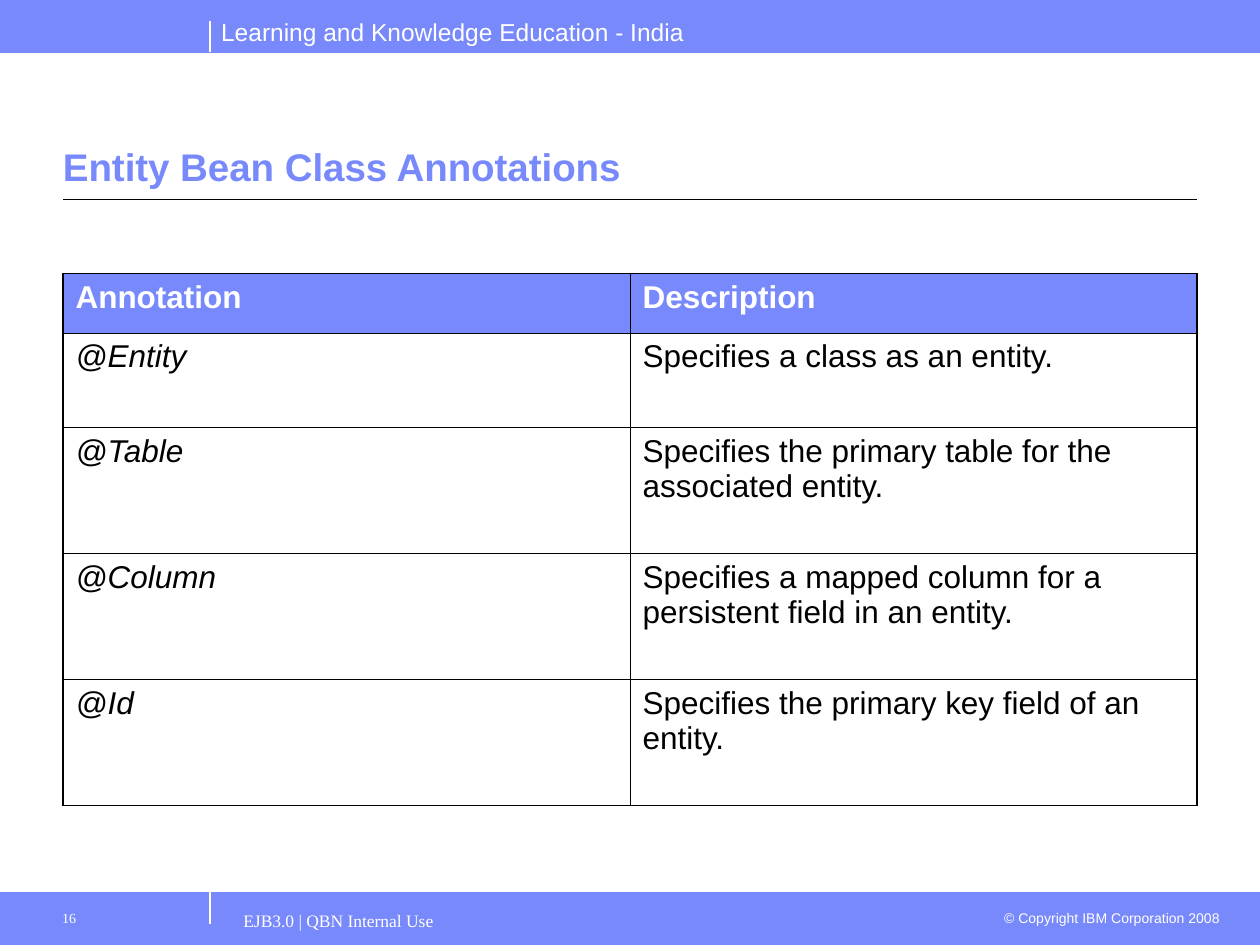
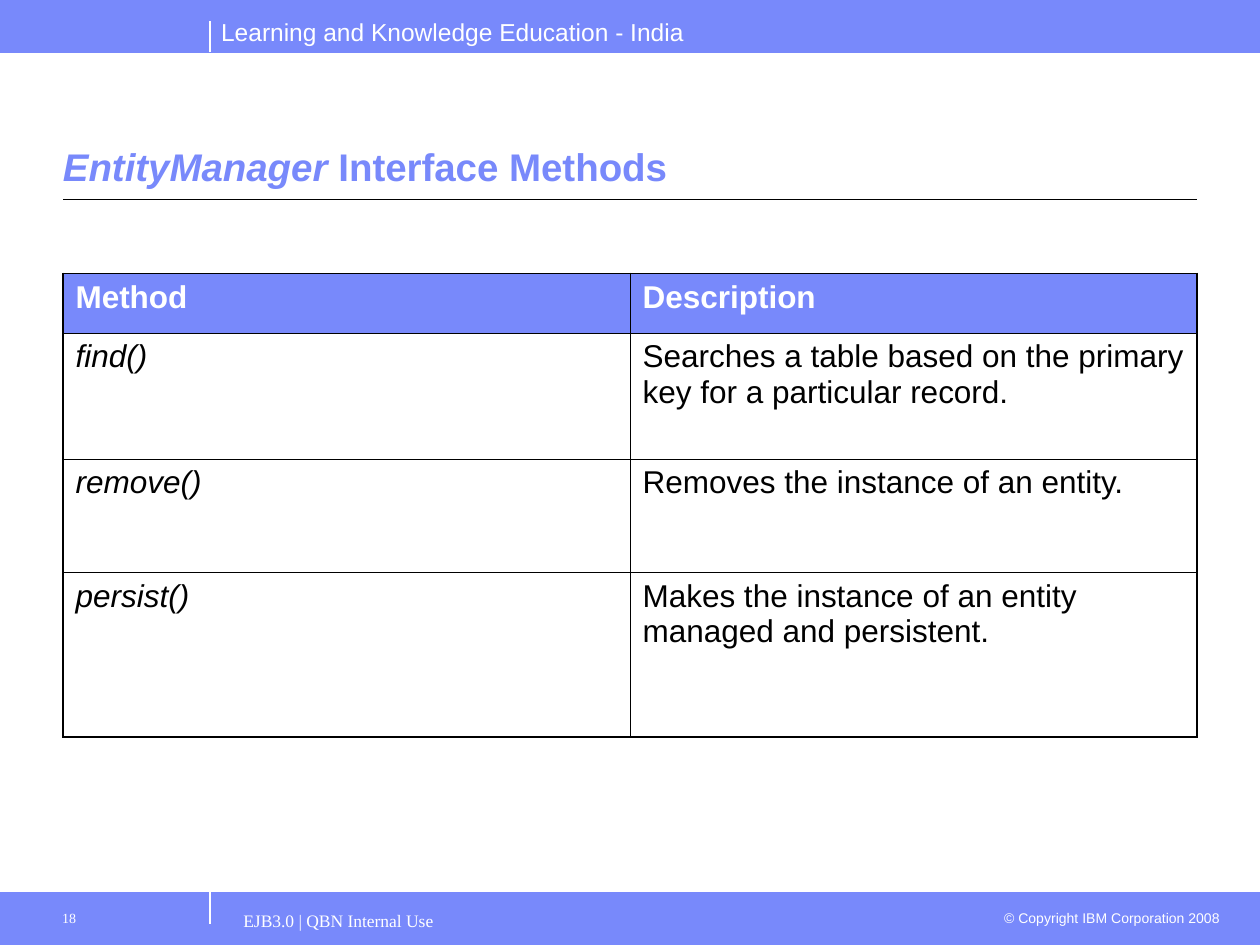
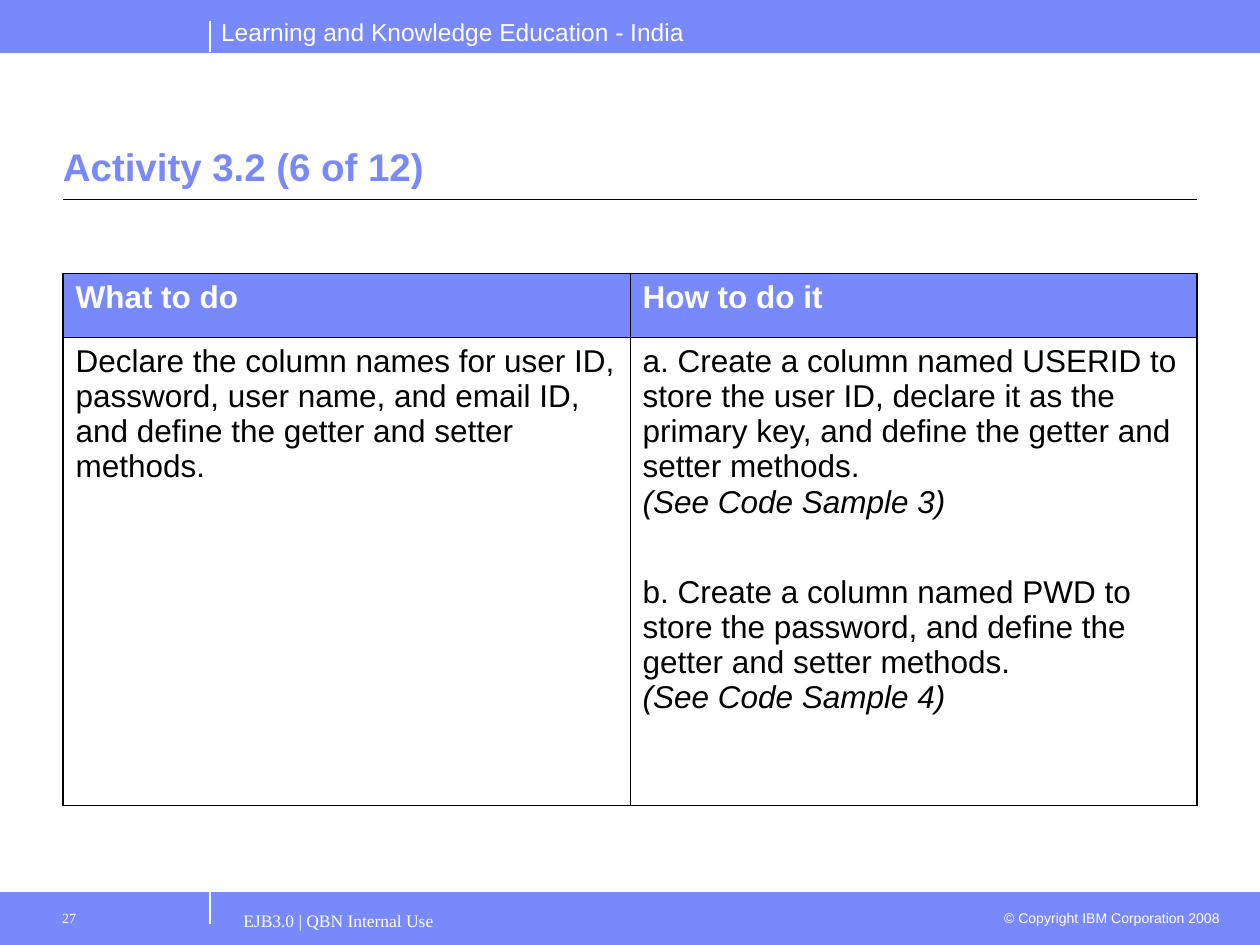
from lxml.etree import SubElement
from pptx import Presentation
from pptx.dml.color import RGBColor
from pptx.enum.shapes import MSO_CONNECTOR, MSO_SHAPE
from pptx.enum.text import MSO_ANCHOR, PP_ALIGN
from pptx.oxml.ns import qn
from pptx.util import Pt

BLUE, WHITE, BLACK = "7889FB", "FFFFFF", "000000"
PAGE_WIDTH, PAGE_HEIGHT = 720, 540
BAND_HEIGHT = 30
DIVIDER_X = 120
MARGIN = 36
CONTENT_WIDTH = PAGE_WIDTH - 2 * MARGIN
TABLE_TOP = 156.25
OUTER_BORDER, INNER_BORDER = 1.08, 0.45

# Text formats
TITLE = dict(name="Arial", size=Pt(22), bold=True, color=BLUE)
BANNER = dict(name="Arial", size=Pt(14), color=WHITE)
COPYRIGHT = dict(name="Arial", size=Pt(8), color=WHITE)
FOOTER = dict(name="Times New Roman", size=Pt(10), color=WHITE)
PAGE_NUMBER = dict(FOOTER, size=Pt(8))
HEADING = dict(name="Arial", size=Pt(18), bold=True, color=WHITE)
BODY = dict(HEADING, bold=False, color=BLACK)
ITALIC = dict(italic=True)

# Spans are strings or (text, extra format) pairs; a paragraph is a list of spans.
SLIDES = [
    dict(
        number="16",
        title=["Entity Bean Class Annotations"],
        heights=[34, 54, 72, 72, 72],
        rows=[
            ("Annotation", "Description"),
            (("@Entity", ITALIC), "Specifies a class as an entity."),
            (("@Table", ITALIC), "Specifies the primary table for the associated entity."),
            (("@Column", ITALIC),
             "Specifies a mapped column for a persistent field in an entity."),
            (("@Id", ITALIC), "Specifies the primary key field of an entity."),
        ],
    ),
    dict(
        number="18",
        title=[("EntityManager", ITALIC), " Interface Methods"],
        heights=[34, 72, 65, 94],
        rows=[
            ("Method", "Description"),
            (("find()", ITALIC),
             "Searches a table based on the primary key for a particular record."),
            (("remove()", ITALIC), "Removes the instance of an entity."),
            (("persist()", ITALIC),
             "Makes the instance of an entity managed and persistent."),
        ],
    ),
    dict(
        number="27",
        title=["Activity 3.2 (6 of 12)"],
        heights=[36.5, 267.5],
        rows=[
            ("What to do", "How to do it"),
            ("Declare the column names for user ID, password, user name, and email ID, "
             "and define the getter and setter methods.",
             [["a. Create a column named USERID to store the user ID, declare it as the "
               "primary key, and define the getter and setter methods.", "\n",
               ("(See Code Sample 3)", ITALIC)],
              ["b. Create a column named PWD to store the password, and define the "
               "getter and setter methods.", "\n",
               ("(See Code Sample 4)", ITALIC)]]),
        ],
    ),
]


def color(value):
    return RGBColor.from_string(value)


def write_spans(para, spans, text_format):
    for span in spans:
        if span == "\n":
            para.add_line_break()
            continue
        text, extra = (span, {}) if isinstance(span, str) else span
        run = para.add_run()
        run.text = text
        for key, value in {**text_format, **extra}.items():
            if key == "color":
                run.font.color.rgb = color(value)
            else:
                setattr(run.font, key, value)


def add_text(page, box, spans, text_format, align=PP_ALIGN.LEFT,
             insets=(7.2, 3.6, 7.2, 3.6), **frame_format):
    frame = page.shapes.add_textbox(*map(Pt, box)).text_frame
    sides = ("margin_left", "margin_top", "margin_right", "margin_bottom")
    settings = {"word_wrap": True, **dict(zip(sides, map(Pt, insets))), **frame_format}
    for key, value in settings.items():
        setattr(frame, key, value)
    para = frame.paragraphs[0]
    para.alignment = align
    write_spans(para, spans, text_format)


def add_line(page, start, end, line_color, weight=0.75):
    line = page.shapes.add_connector(MSO_CONNECTOR.STRAIGHT, *map(Pt, start + end))
    line.line.color.rgb = color(line_color)
    line.line.width = Pt(weight)
    SubElement(line._element.spPr, qn("a:effectLst"))


def add_band(page, top, edge):
    """Draw a full-width band with a line along its inner edge."""
    band = page.shapes.add_shape(MSO_SHAPE.RECTANGLE, 0, Pt(top), Pt(PAGE_WIDTH),
                                 Pt(BAND_HEIGHT))
    band.shadow.inherit = False
    band.fill.solid()
    band.fill.fore_color.rgb = color(BLUE)
    band.line.color.rgb = color(BLUE)
    band.line.width = Pt(0.75)
    add_line(page, (0, edge), (PAGE_WIDTH, edge), BLUE, 0.5)


def add_header(page):
    add_band(page, 0, BAND_HEIGHT)
    add_line(page, (DIVIDER_X, BAND_HEIGHT), (DIVIDER_X, 12), WHITE)
    add_text(page, (119.25, 6.25, 300, 24),
             ["Learning and Knowledge Education - India"], BANNER)


def add_footer(page, number):
    top = PAGE_HEIGHT - BAND_HEIGHT
    add_band(page, top, top)
    add_line(page, (DIVIDER_X, top + 18), (DIVIDER_X, top), WHITE)
    add_text(page, (563.75, top + 6, 140.5, 17.25),
             ["© Copyright IBM Corporation 2008"], COPYRIGHT, PP_ALIGN.RIGHT)
    add_text(page, (132, top + 5, 432, 25), ["EJB3.0 | QBN Internal Use"], FOOTER,
             insets=(7.2, 5, 7.2, 3.6))
    add_text(page, (24, top + 5, 96, 25), [number], PAGE_NUMBER,
             insets=(11.5, 5, 7.2, 3.6))


def add_title(page, spans):
    add_text(page, (MARGIN, 45.5, CONTENT_WIDTH, 66.25), spans, TITLE,
             insets=(0, 3.6, 0, 3.6), vertical_anchor=MSO_ANCHOR.BOTTOM)
    add_line(page, (MARGIN, 114), (MARGIN + CONTENT_WIDTH, 114), BLACK)


def set_borders(cell, outer_sides):
    properties = cell._tc.get_or_add_tcPr()
    for side in "LRTB":
        weight = OUTER_BORDER if side in outer_sides else INNER_BORDER
        border = SubElement(properties, qn(f"a:ln{side}"), w=str(Pt(weight)))
        fill = SubElement(border, qn("a:solidFill"))
        SubElement(fill, qn("a:srgbClr"), val=BLACK)


def fill_cell(cell, content, is_heading):
    cell.fill.solid()
    cell.fill.fore_color.rgb = color(BLUE if is_heading else WHITE)
    paragraphs = content if isinstance(content, list) else [[content]]
    for index, spans in enumerate(paragraphs):
        frame = cell.text_frame
        para = frame.add_paragraph() if index else frame.paragraphs[0]
        is_last = index == len(paragraphs) - 1
        para.space_after = Pt(11.2 if is_last else 31.2)
        write_spans(para, spans, HEADING if is_heading else BODY)


def add_grid(page, box, rows, heights):
    left, top, width = box
    column_count = len(rows[0])
    table = page.shapes.add_table(len(rows), column_count, Pt(left), Pt(top), Pt(width),
                                  Pt(sum(heights))).table
    for column in table.columns:
        column.width = Pt(width / column_count)
    for r, (contents, height) in enumerate(zip(rows, heights)):
        table.rows[r].height = Pt(height)
        for c, content in enumerate(contents):
            edges = {"L": c == 0, "R": c == column_count - 1,
                     "T": r == 0, "B": r == len(rows) - 1}
            cell = table.cell(r, c)
            set_borders(cell, [side for side, outer in edges.items() if outer])
            fill_cell(cell, content, r == 0)


def add_table_slide(deck, content):
    page = deck.slides.add_slide(deck.slide_layouts[6])
    add_header(page)
    add_footer(page, content["number"])
    add_title(page, content["title"])
    add_grid(page, (MARGIN, TABLE_TOP, CONTENT_WIDTH), content["rows"],
             content["heights"])


def main():
    deck = Presentation()
    deck.slide_width, deck.slide_height = Pt(PAGE_WIDTH), Pt(PAGE_HEIGHT)
    for content in SLIDES:
        add_table_slide(deck, content)
    deck.save("out.pptx")


if __name__ == "__main__":
    main()
